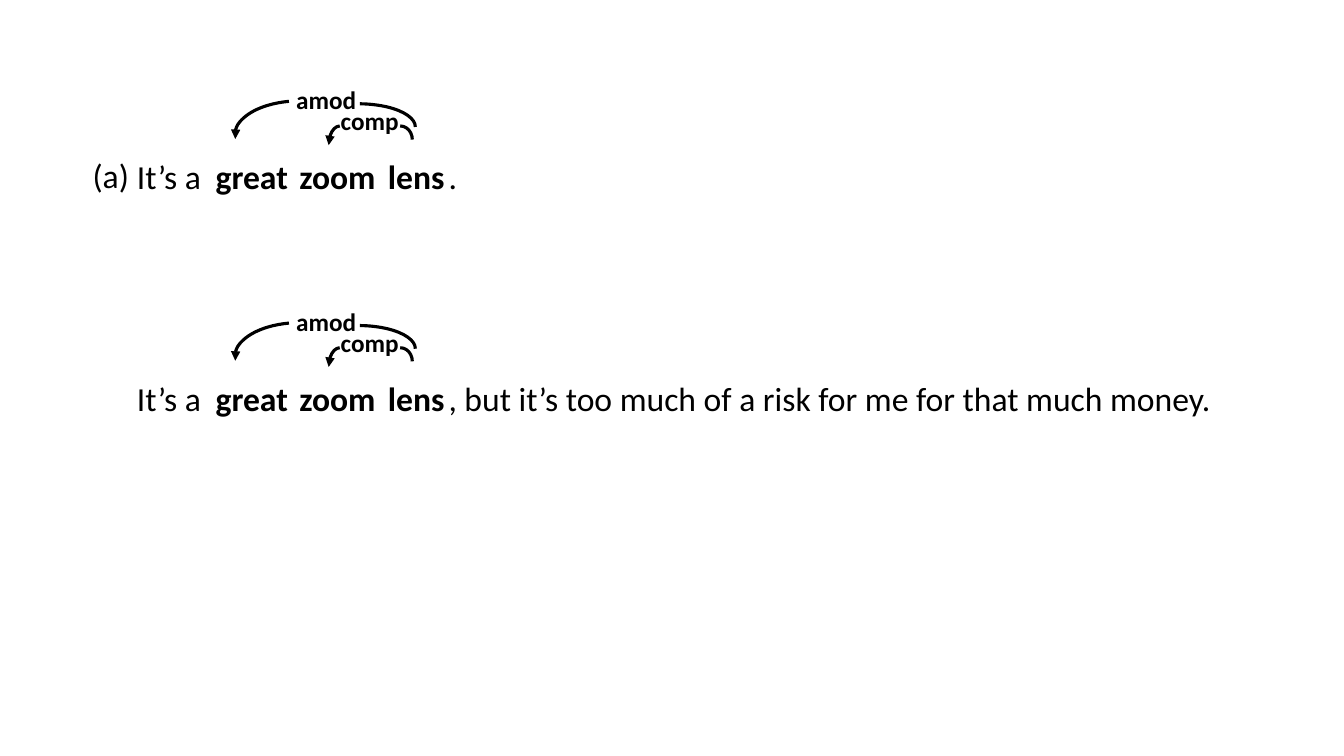
from dataclasses import dataclass

from lxml import etree
from pptx import Presentation
from pptx.dml.color import RGBColor
from pptx.enum import shapes, text
from pptx.oxml.ns import qn
from pptx.util import Inches, Pt


@dataclass(frozen=True)
class Theme:
    font: str = "Calibri"
    ink: RGBColor = RGBColor(0, 0, 0)
    word_size: int = 24
    label_size: int = 18
    arc_width: float = 2.25


THEME = Theme()
QUARTER = (162, 0)  # start and end angle of a plain quarter arc

# Sentence words: text, left, width, bold
SHARED_WORDS = [
    ("It’s a", 1.26, 0.84, False),
    ("great", 2.04, 0.93, True),
    ("zoom", 2.87, 0.96, True),
    ("lens", 3.75, 0.77, True),
]
# Relation labels: text, left, top above the words, width
LABELS = [("amod", 2.84, -0.71, 0.8), ("comp", 3.28, -0.5, 0.78)]
# Arcs: left, top relative to the words, width, height, angles, is arrow
ARCS = [
    (2.99, -0.47, 1.13, 0.46, (164.35, 0), False),
    (2.33, -0.5, 1.3, 0.68, (173.24, 2.07), True),
    (3.85, -0.25, 0.24, 0.27, QUARTER, False),
    (3.26, -0.25, 0.22, 0.38, QUARTER, True),
]


def add_text(page, wording, left, top, width, height, size, bold):
    box = page.shapes.add_textbox(
        Inches(left), Inches(top), Inches(width), Inches(height))
    frame = box.text_frame
    frame.word_wrap = False
    frame.auto_size = text.MSO_AUTO_SIZE.SHAPE_TO_FIT_TEXT
    para = frame.paragraphs[0]
    para.text = wording
    para.font.name = THEME.font
    para.font.size = Pt(size)
    para.font.bold = bold
    para.font.color.rgb = THEME.ink


def add_word(page, wording, left, top, width, bold=False):
    add_text(page, wording, left, top, width, 0.5, THEME.word_size, bold)


def add_arc(page, left, top, width, height, angles, is_arrow):
    arc = page.shapes.add_shape(
        shapes.MSO_SHAPE.ARC,
        Inches(left), Inches(top), Inches(width), Inches(height))
    arc.adjustments[0], arc.adjustments[1] = angles
    arc.shadow.inherit = False
    arc.fill.background()
    arc.line.color.rgb = THEME.ink
    arc.line.width = Pt(THEME.arc_width)
    # Arrows curve to the left and carry a head at their end
    if is_arrow:
        properties = arc._element.spPr
        properties.find(qn("a:xfrm")).set("flipH", "1")
        outline = properties.find(qn("a:ln"))
        etree.SubElement(outline, qn("a:tailEnd"), type="triangle")


def add_sentence(page, top, ending, ending_width):
    for wording, left, width, bold in SHARED_WORDS:
        add_word(page, wording, left, top, width, bold)
    add_word(page, ending, 4.35, top, ending_width)
    for left, rise, width, height, angles, is_arrow in ARCS:
        add_arc(page, left, top + rise, width, height, angles, is_arrow)
    for wording, left, rise, width in LABELS:
        add_text(page, wording, left, top + rise, width, 0.4,
                 THEME.label_size, True)


def main():
    deck = Presentation()
    deck.slide_width, deck.slide_height = Inches(13.33), Inches(7.5)
    page = deck.slides.add_slide(deck.slide_layouts[6])

    # The short sentence and its longer variant
    add_sentence(page, 1.5, ".", 0.29)
    add_sentence(
        page, 3.7,
        ", but it’s too much of a risk for me for that much money.", 7.82)

    # Example marker
    add_word(page, "(a)", 0.82, 1.49, 0.57)
    deck.save("out.pptx")


if __name__ == "__main__":
    main()
